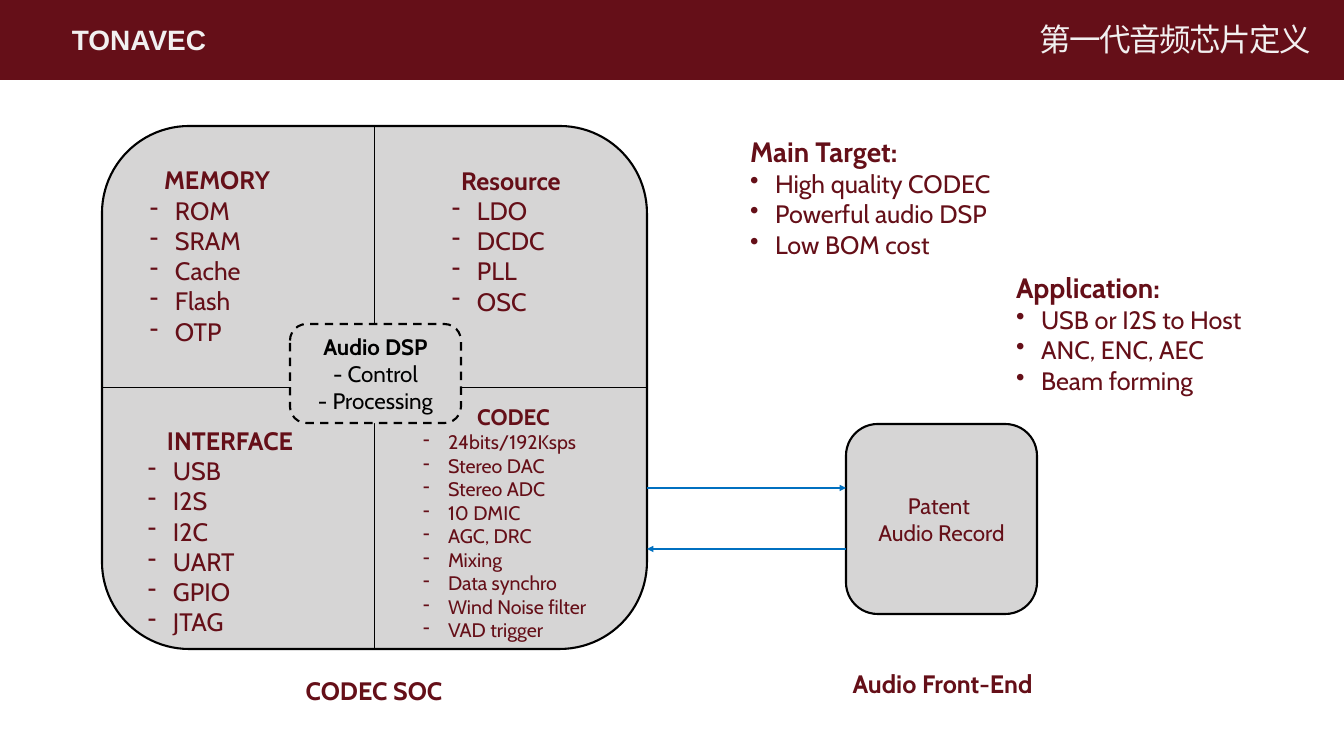
from lxml.etree import SubElement
from pptx import Presentation
from pptx.dml.color import RGBColor
from pptx.enum.dml import MSO_LINE_DASH_STYLE as DASH
from pptx.enum.shapes import MSO_CONNECTOR, MSO_SHAPE
from pptx.enum.text import MSO_ANCHOR, PP_ALIGN
from pptx.oxml.ns import qn
from pptx.util import Pt

PX = 914400 / 50.4
SLIDE_WIDTH, SLIDE_HEIGHT = 1344, 756
BAND_HEIGHT = 80
INSET = 4
BULLET_INDENT = 25

MAROON = RGBColor(0x65, 0x0F, 0x18)
OFF_WHITE = RGBColor(0xF2, 0xF0, 0xF0)
GREY = RGBColor(0xD6, 0xD5, 0xD5)
BLACK = RGBColor(0, 0, 0)
BLUE = RGBColor(0x00, 0x70, 0xC0)

BRAND = "TONAVEC"
TITLE = "第一代音频芯片定义"
TITLE_SPACING = -220

SOC = (102, 126, 545, 523)
DSP = (290, 324, 171, 99)
FRONT_END = (846, 424, 191, 190)
SIGNAL_YS = (488, 549)

DSP_LINES = ["Audio DSP", "- Control", "- Processing"]
FRONT_END_LINES = ["Patent ", "Audio Record"]

CAPTIONS = [
    ("CODEC SOC", (293, 671, 162, 38)),
    ("Audio Front-End", (846, 664, 193, 38)),
]

BLOCKS = [
    ("Resource", ["LDO", "DCDC", "PLL", "OSC"],
     (448, 160, 126, 161), 36, 36, "-"),
    ("MEMORY", ["ROM", "SRAM", "Cache", "Flash", "OTP"],
     (146, 160, 142, 191), 36, 36, "-"),
    ("INTERFACE", ["USB", "I2S", "I2C", "UART", "GPIO", "JTAG"],
     (144, 420, 172, 222), 36, 36, "-"),
    ("CODEC", ["24bits/192Ksps", "Stereo DAC", "Stereo ADC", "10 DMIC", "AGC, DRC",
               "Mixing", "Data synchro", "Wind Noise filter", "VAD trigger"],
     (419, 398, 189, 249), 32, 28, "-"),
    ("Main Target:", ["High quality CODEC", "Powerful audio DSP", "Low BOM cost"],
     (746, 130, 265, 134), 40, 36, "•"),
    ("Application:", ["USB or I2S to Host", "ANC, ENC, AEC", "Beam forming"],
     (1012, 266, 247, 134), 40, 36, "•"),
]


def emu(*lengths):
    return [round(length * PX) for length in lengths]


def add_box(slide, kind, box, fill, line=None):
    shape = slide.shapes.add_shape(kind, *emu(*box))
    shape.shadow.inherit = False
    shape.fill.solid()
    shape.fill.fore_color.rgb = fill
    if line is None:
        shape.line.fill.background()
    else:
        shape.line.color.rgb = line
        shape.line.width = Pt(3)
    return shape


def add_line(slide, start, end, color, width, arrow=False):
    connector = slide.shapes.add_connector(MSO_CONNECTOR.STRAIGHT, *emu(*start, *end))
    connector.line.color.rgb = color
    connector.line.width = Pt(width)
    if arrow:
        SubElement(connector.line._get_or_add_ln(), qn("a:tailEnd"), type="triangle")
    SubElement(connector._element.spPr, qn("a:effectLst"))


def add_text_box(slide, box):
    return slide.shapes.add_textbox(*emu(*box))


def write(shape, lines, size, color=MAROON, bold=False, align=PP_ALIGN.CENTER, font="Cabin"):
    frame = shape.text_frame
    frame.word_wrap = True
    frame.vertical_anchor = MSO_ANCHOR.MIDDLE
    frame.margin_left = frame.margin_top = frame.margin_right = frame.margin_bottom = emu(INSET)[0]
    frame.text = "\n".join(lines)
    for paragraph in frame.paragraphs:
        paragraph.alignment = align
        paragraph.font.name = font
        paragraph.font.size = Pt(size)
        paragraph.font.bold = bold
        paragraph.font.color.rgb = color
    return frame.paragraphs


def add_bullet(paragraph, mark):
    indent = emu(BULLET_INDENT)[0]
    properties = paragraph._p.get_or_add_pPr()
    properties.set("marL", str(indent))
    properties.set("indent", str(-indent))
    bullet = SubElement(properties, qn("a:buChar"), char=mark)
    properties.insert(0, bullet)


def add_block(slide, heading, items, box, heading_size, item_size, mark):
    paragraphs = write(add_text_box(slide, box), [heading, *items], item_size, align=PP_ALIGN.LEFT)
    title, *entries = paragraphs
    title.font.size = Pt(heading_size)
    title.font.bold = True
    if mark == "-":
        title.alignment = PP_ALIGN.CENTER
    for paragraph in entries:
        add_bullet(paragraph, mark)


def add_header(slide):
    add_box(slide, MSO_SHAPE.RECTANGLE, (0, 0, SLIDE_WIDTH, BAND_HEIGHT), MAROON)
    write(add_text_box(slide, (54, 19, 170, 41)), [BRAND], 40, OFF_WHITE, True, font="Arial")
    title = write(add_text_box(slide, (971, 16, 344, 46)), [TITLE], 45, OFF_WHITE,
                  align=PP_ALIGN.RIGHT, font="Arial")[0]
    title.runs[0]._r.get_or_add_rPr().set("spc", str(TITLE_SPACING))


def add_chips(slide):
    left, top, width, height = SOC
    right, bottom = left + width, top + height
    middle_x, middle_y = left + width / 2, top + height / 2
    add_box(slide, MSO_SHAPE.ROUNDED_RECTANGLE, SOC, GREY, BLACK)
    add_line(slide, (middle_x, top), (middle_x, bottom), BLACK, 2)
    add_line(slide, (left, middle_y), (right, middle_y), BLACK, 2)

    for block in BLOCKS:
        add_block(slide, *block)

    dsp = add_box(slide, MSO_SHAPE.ROUNDED_RECTANGLE, DSP, GREY, BLACK)
    dsp.line.dash_style = DASH.DASH
    write(dsp, DSP_LINES, 32, BLACK)[0].font.bold = True

    front_end = add_box(slide, MSO_SHAPE.ROUNDED_RECTANGLE, FRONT_END, GREY, BLACK)
    write(front_end, FRONT_END_LINES, 32)

    output_y, input_y = SIGNAL_YS
    add_line(slide, (right, output_y), (FRONT_END[0], output_y), BLUE, 3, arrow=True)
    add_line(slide, (FRONT_END[0], input_y), (right, input_y), BLUE, 3, arrow=True)

    for caption, box in CAPTIONS:
        write(add_text_box(slide, box), [caption], 36, bold=True)


def main():
    presentation = Presentation()
    presentation.slide_width, presentation.slide_height = emu(SLIDE_WIDTH, SLIDE_HEIGHT)
    slide = presentation.slides.add_slide(presentation.slide_layouts[6])
    add_header(slide)
    add_chips(slide)
    presentation.save("out.pptx")


if __name__ == "__main__":
    main()
